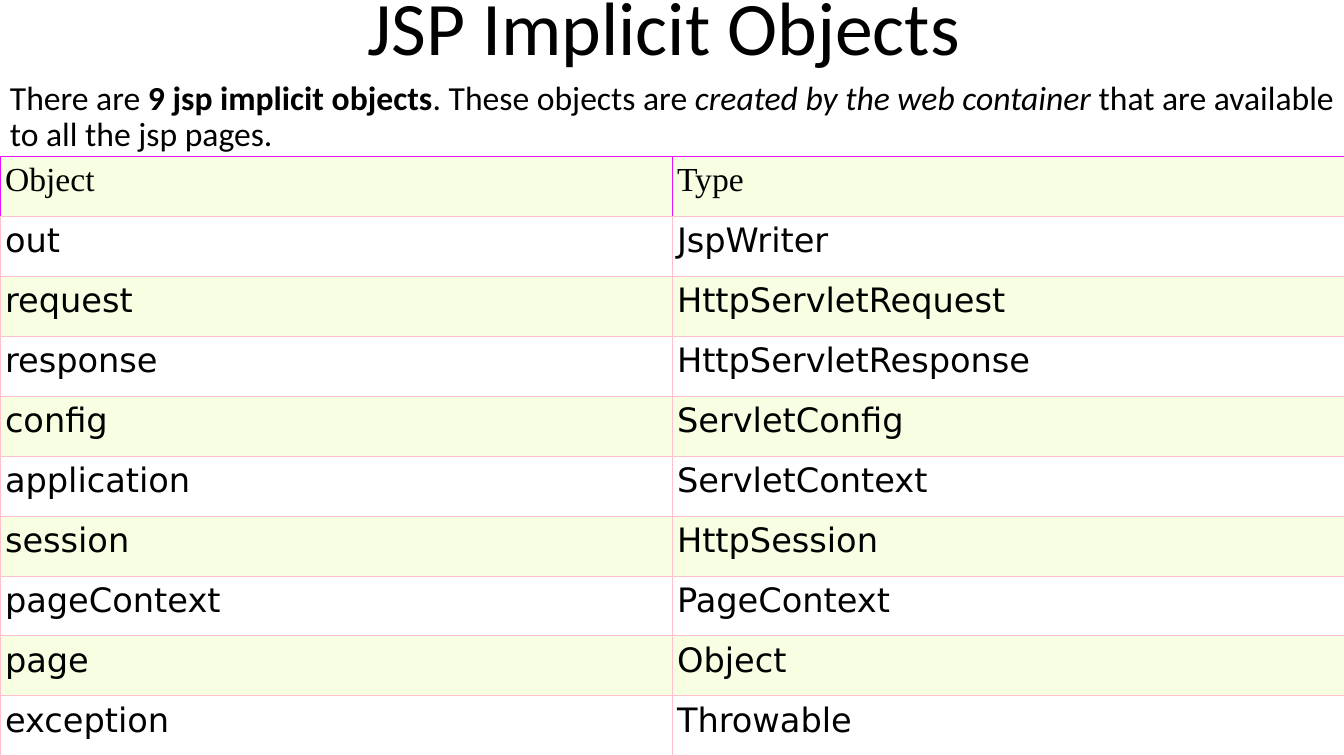
from lxml.etree import SubElement
from pptx import Presentation
from pptx.dml.color import RGBColor
from pptx.enum.text import MSO_ANCHOR as Anchor, PP_ALIGN as Align
from pptx.oxml.ns import qn
from pptx.util import Inches, Pt

BLACK, WHITE, LIME, PINK, MAGENTA = "000000", "FFFFFF", "F6FFE1", "FFC0CB", "E810FA"


def color(value):
    return RGBColor.from_string(value)


def add_run(paragraph, text, **formats):
    run = paragraph.add_run()
    run.text = text
    run.font.color.rgb = color(BLACK)
    for name, value in formats.items():
        setattr(run.font, name, value)


presentation = Presentation()
presentation.slide_width, presentation.slide_height = Inches(13.33), Inches(7.5)
slide = presentation.slides.add_slide(presentation.slide_layouts[6])

# Title and introduction
texts = [
    ((1.67, 0.34, 10, 0.42), Anchor.BOTTOM, 54,
     {"alignment": Align.CENTER, "line_spacing": 0.9},
     [("JSP Implicit Objects ", {})]),
    ((0, 0.76, 13.33, 6.74), Anchor.TOP, 24,
     {"alignment": Align.LEFT, "line_spacing": 0.9, "space_before": Pt(10)},
     [("There are ", {}),
      ("9 jsp implicit objects", {"bold": True}),
      (". These objects are ", {}),
      ("created by the web container", {"italic": True}),
      (" that are available to all the jsp pages.", {})]),
]
for place, anchor, size, paragraph_formats, runs in texts:
    frame = slide.shapes.add_textbox(*map(Inches, place)).text_frame
    frame.word_wrap = True
    frame.vertical_anchor = anchor
    paragraph = frame.paragraphs[0]
    for name, value in paragraph_formats.items():
        setattr(paragraph, name, value)
    for text, formats in runs:
        add_run(paragraph, text, size=Pt(size), name="Calibri", **formats)

# Table of implicit objects
rows = [
    ("Object", "Type"),
    ("out", "JspWriter"),
    ("request", "HttpServletRequest"),
    ("response", "HttpServletResponse"),
    ("config", "ServletConfig"),
    ("application", "ServletContext"),
    ("session", "HttpSession"),
    ("pageContext", "PageContext"),
    ("page", "Object"),
    ("exception", "Throwable"),
]
table = slide.shapes.add_table(len(rows), 2, Inches(0), Inches(1.55),
                               Inches(13.33), Inches(5.95)).table
margins = ("margin_left", "margin_top", "margin_right", "margin_bottom")
for row_index, row in enumerate(rows):
    is_header = row_index == 0
    for column_index, text in enumerate(row):
        cell = table.cell(row_index, column_index)
        for margin in margins:
            setattr(cell, margin, Inches(0.05))
        add_run(cell.text_frame.paragraphs[0], text, size=Pt(24), bold=False,
                name="Times New Roman" if is_header else "DejaVu Sans")

        # Borders come before the fill in the cell properties
        properties = cell._tc.get_or_add_tcPr()
        for side in "LRTB":
            line = SubElement(properties, qn(f"a:ln{side}"), w=str(Pt(0.75)))
            line_fill = SubElement(line, qn("a:solidFill"))
            line_color = MAGENTA if is_header and side != "B" else PINK
            SubElement(line_fill, qn("a:srgbClr"), val=line_color)
        cell.fill.solid()
        cell.fill.fore_color.rgb = color(WHITE if row_index % 2 else LIME)

presentation.save("out.pptx")
